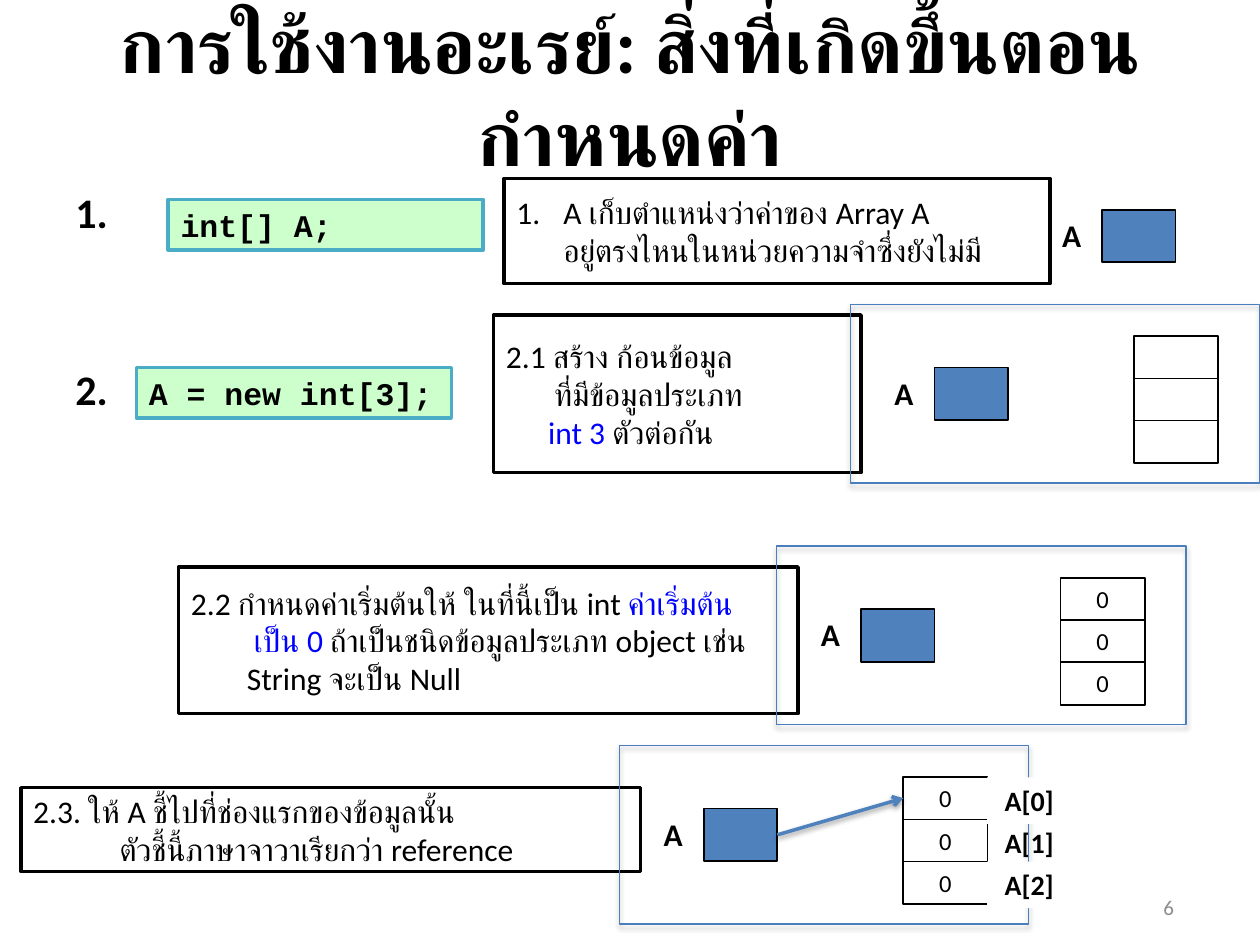
"""Build a slide on what happens when a Java array is declared and assigned."""
from lxml import etree
from pptx import Presentation
from pptx import util as u
from pptx.dml import color
from pptx.enum import shapes, text
from pptx.oxml import ns

BLACK, WHITE, BLUE, GREEN = "000000", "FFFFFF", "0000FF", "CCFFCC"
ACCENT, TEAL, FRAME_LINE = "4F81BD", "4BACC6", "4B7EBC"
LEFT, CENTER, RIGHT = text.PP_ALIGN.LEFT, text.PP_ALIGN.CENTER, text.PP_ALIGN.RIGHT
TOP, MIDDLE = text.MSO_ANCHOR.TOP, text.MSO_ANCHOR.MIDDLE


def add_box(left, top, width, height, lines=(), fill=None, line=None, weight=1, size=18,
            font="Calibri", bold=False, align=LEFT, anchor=TOP, margin=0.25):
    shape = slide.shapes.add_shape(shapes.MSO_SHAPE.RECTANGLE, u.Cm(left), u.Cm(top),
                                   u.Cm(width), u.Cm(height))
    shape.shadow.inherit = False
    for part, value in ((shape.fill, fill), (shape.line.fill, line)):
        if value:
            part.solid()
            part.fore_color.rgb = color.RGBColor.from_string(value)
        else:
            part.background()
    if line:
        shape.line.width = u.Pt(weight)
    frame = shape.text_frame
    frame.word_wrap = True
    frame.vertical_anchor = anchor
    frame.margin_left = frame.margin_right = u.Cm(margin)
    for index, (indent, pieces) in enumerate(lines):
        paragraph = frame.add_paragraph() if index else frame.paragraphs[0]
        paragraph.alignment = align
        if indent:
            paragraph._p.get_or_add_pPr().set("marL", str(u.Cm(indent)))
        for words, ink in pieces:
            run = paragraph.add_run()
            run.text = words
            run.font.name, run.font.size, run.font.bold = font, u.Pt(size), bold
            run.font.color.rgb = color.RGBColor.from_string(ink)
    return shape


def add_shadow(shape, distance, opacity):
    properties = shape._element.spPr
    for old in properties.findall(ns.qn("a:effectLst")):
        properties.remove(old)
    effects = etree.SubElement(properties, ns.qn("a:effectLst"))
    shadow = etree.SubElement(effects, ns.qn("a:outerShdw"), blurRad="40000",
                              dist=str(u.Pt(distance)), dir="5400000", rotWithShape="0")
    ink = etree.SubElement(shadow, ns.qn("a:srgbClr"), val=BLACK)
    etree.SubElement(ink, ns.qn("a:alpha"), val=str(opacity * 1000))


presentation = Presentation()
presentation.slide_width, presentation.slide_height = u.Cm(25.4), u.Cm(19.05)
slide = presentation.slides.add_slide(presentation.slide_layouts[6])

title = "การใช้งานอะเรย์: สิ่งที่เกิดขึ้นตอนกำหนดค่า"
add_box(1.27, 0.21, 22.86, 3.18, [(0, [(title, BLACK)])], size=44, bold=True,
        align=CENTER, anchor=MIDDLE)
for top, number in ((3.63, "1."), (7.2, "2.")):
    add_box(1.27, top, 1.5, 1.3, [(0, [(number, BLACK)])], size=24, bold=True)
add_box(17.99, 17.78, 5.93, 1.01, [(0, [("6", "8C8C8C")])], size=12,
        align=RIGHT, anchor=MIDDLE)

for left, top, code in ((3.39, 4.02, "int[] A;"), (2.75, 7.41, "A = new int[3];")):
    add_box(left, top, 6.35, 1.02, [(0, [(code, BLACK)])], fill=GREEN, line=TEAL,
            weight=2, font="Courier New", bold=True)

notes = [
    (10.16, 3.6, 11.01, 2.12, [
        (0.95, [("A เก็บตำแหน่งว่าค่าของ Array A", BLACK)]),
        (0.95, [("อยู่ตรงไหนในหน่วยความจำซึ่งยังไม่มี", BLACK)])]),
    (9.95, 6.35, 7.41, 3.18, [
        (0, [("2.1 สร้าง ก้อนข้อมูล", BLACK)]),
        (0.97, [("ที่มีข้อมูลประเภท", BLACK)]),
        (0.85, [("int 3 ", BLUE), ("ตัวต่อกัน", BLACK)])]),
    (3.6, 11.43, 12.49, 2.96, [
        (0, [("2.2 กำหนดค่าเริ่มต้นให้ ในที่นี้เป็น int ", BLACK), ("ค่าเริ่มต้น", BLUE)]),
        (1.27, [("เป็น 0 ", BLUE), ("ถ้าเป็นชนิดข้อมูลประเภท object เช่น", BLACK)]),
        (1.13, [("String จะเป็น Null", BLACK)])]),
    (0.42, 15.88, 12.49, 1.69, [
        (0, [("2.3. ให้ A ชี้ไปที่ช่องแรกของข้อมูลนั้น", BLACK)]),
        (1.74, [("ตัวชี้นี้ภาษาจาวาเรียกว่า reference", BLACK)])]),
]
note_shapes = [add_box(*note, fill=WHITE, line=BLACK, weight=2, anchor=MIDDLE) for note in notes]
numbered = note_shapes[0].text_frame.paragraphs[0]._p.get_or_add_pPr()
numbered.set("indent", str(u.Cm(-0.95)))
etree.SubElement(numbered, ns.qn("a:buFont"), typeface="+mj-lt")
etree.SubElement(numbered, ns.qn("a:buAutoNum"), type="arabicPeriod")

frames = [(17.14, 6.14, ""), (15.66, 11.01, "0"), (12.49, 15.03, "0")]
last_left, last_top, _ = frames[-1]
cell_width, cell_height, cell_step = 1.7, 0.86, 0.85
cells_x, cells_y = 5.72, 0.64

variables = [(21.16, 4.23)] + [(left + 0.64, top + 1.27) for left, top, _ in frames]
for left, top in variables:
    add_box(left, top, 0.95, 1.02, [(0, [("A", BLACK)])], bold=True)
    add_box(left + 1.06, top, 1.48, 1.06, fill=ACCENT, line=BLACK)

for index in (1, 0, 2):
    if index == 0:
        for left, top, value in frames:
            for row in range(3):
                add_box(left + cells_x, top + cells_y + row * cell_step, cell_width,
                        cell_height, [(0, [(value, BLACK)])] if value else (), fill=WHITE,
                        line=BLACK, size=14, align=CENTER, margin=0.03)
            frame = add_box(left, top, 8.25, 3.6, line=FRAME_LINE, weight=0.75)
            add_shadow(frame, 1.8, 35)
    add_box(last_left + cells_x + 1.69, last_top + cells_y + index * cell_step, cell_width,
            0.94, [(0, [(f"A[{index}]", BLACK)])], fill=WHITE, size=16, bold=True,
            align=CENTER, margin=0.03)

arrow = slide.shapes.add_connector(
    shapes.MSO_CONNECTOR.STRAIGHT, u.Cm(last_left + 3.18), u.Cm(last_top + 1.8),
    u.Cm(last_left + cells_x), u.Cm(last_top + 1.06))
arrow.line.color.rgb = color.RGBColor.from_string(ACCENT)
arrow.line.width = u.Pt(2)
etree.SubElement(arrow.line._get_or_add_ln(), ns.qn("a:tailEnd"), type="arrow")
add_shadow(arrow, 1.6, 38)

presentation.save("out.pptx")
